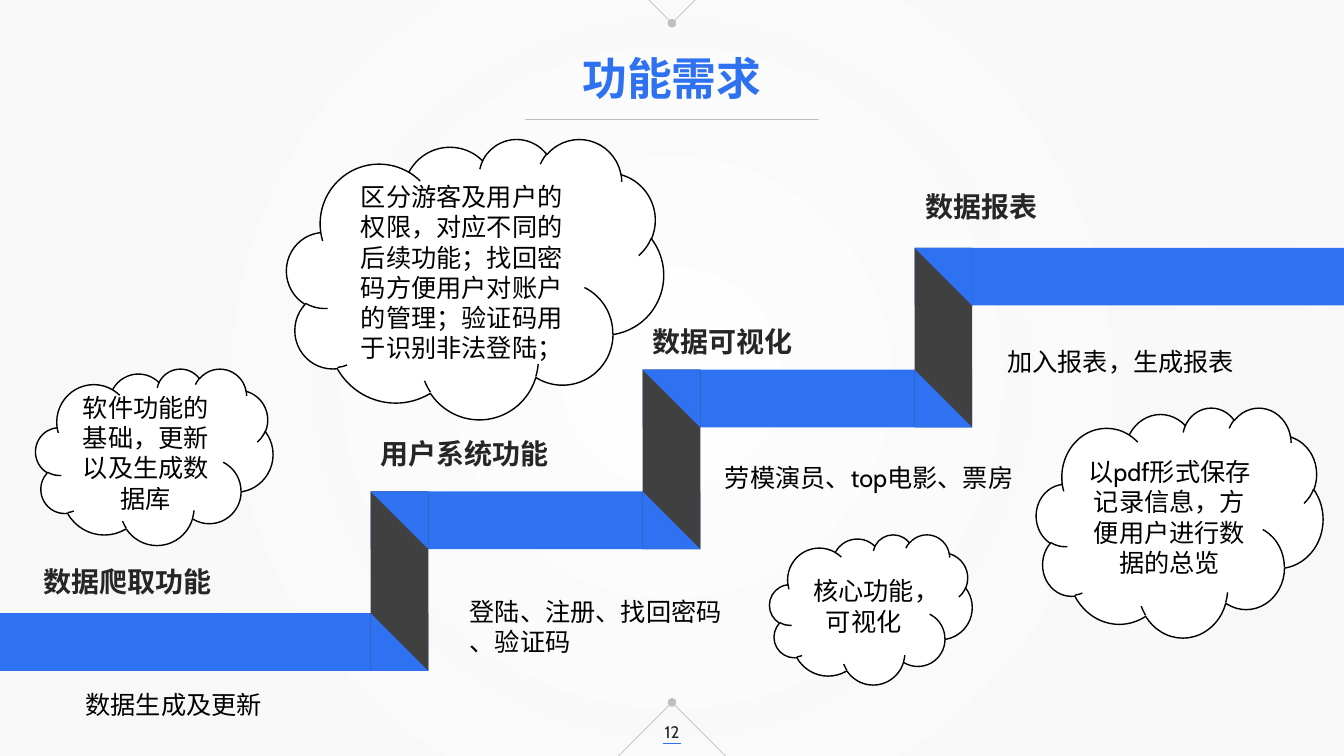
from lxml.etree import SubElement
from pptx import Presentation
from pptx.dml.color import RGBColor
from pptx.enum.shapes import MSO_CONNECTOR, MSO_SHAPE
from pptx.enum.text import MSO_ANCHOR, MSO_AUTO_SIZE, PP_ALIGN
from pptx.oxml import parse_xml
from pptx.oxml.ns import nsdecls, qn
from pptx.util import Pt

PX = 9525  # EMU in one px, 96 px to the inch
WIDTH, HEIGHT = 1280, 720
FONT = "Cabin"
COLORS = {
    "blue": "2E72F1",
    "dark": "404040",
    "heading": "262626",
    "text": "000000",
    "white": "FFFFFF",
    "rule": "BFBFBF",
    "haze": "F2F2F2",
}

# Staircase: first riser's corner, distance between steps, and band depth
STAIR_LEFT, STAIR_TOP = 353, 584
RUN, RISE, DEPTH = 259, 116, 55
RISERS = 3

HEADINGS = [
    ("数据爬取功能", 32, 533, 290),
    ("用户系统功能", 353, 411, 230),
    ("数据可视化", 612, 304, 230),
    ("数据报表", 872, 176, 276),
]
DETAILS = [
    (["数据生成及更新"], 72, 652, 200),
    (["登陆、注册、找回密码", "、验证码"], 438, 563, 270),
    (["劳模演员、top电影、票房"], 681, 436, 298),
    (["加入报表，生成报表"], 950, 325, 250),
]
CLOUDS = [
    ("软件功能的基础，更新以及生成数据库", 34, 351, 226, 168),
    ("区分游客及用户的权限，对应不同的后续功能；"
     "找回密码方便用户对账户的管理；验证码用于识别非法登陆；", 273, 132, 359, 267),
    ("核心功能，可视化", 733, 509, 193, 143),
    ("以pdf形式保存记录信息，方便用户进行数据的总览", 987, 388, 273, 219),
]


def px(*lengths):
    return [length * PX for length in lengths]


def rgb(name):
    return RGBColor.from_string(COLORS[name])


def write(frame, lines, size, color, bold=False, align=PP_ALIGN.LEFT):
    frame.text = "\n".join(lines)
    for para in frame.paragraphs:
        para.alignment = align
        para.font.name = FONT
        para.font.size = Pt(size)
        para.font.bold = bold
        para.font.color.rgb = rgb(color)


def add_text(page, lines, left, top, width, height, size, color, **style):
    box = page.shapes.add_textbox(*px(left, top, width, height))
    box.text_frame.word_wrap = True
    write(box.text_frame, lines, size, color, **style)
    return box


def add_block(page, kind, left, top, width, height, color):
    block = page.shapes.add_shape(kind, *px(left, top, width, height))
    block.shadow.inherit = False
    block.fill.solid()
    block.fill.fore_color.rgb = rgb(color)
    block.line.fill.background()
    return block


def add_line(page, start, end, color, dot=False):
    line = page.shapes.add_connector(MSO_CONNECTOR.STRAIGHT, *px(*start, *end))
    line.line.color.rgb = rgb(color)
    line.line.width = Pt(0.5)
    if dot:
        SubElement(line.line._get_or_add_ln(), qn("a:tailEnd"), type="oval")
    SubElement(line._element.spPr, qn("a:effectLst"))


def add_backdrop(page):
    backdrop = add_block(page, MSO_SHAPE.RECTANGLE, 0, 0, WIDTH, HEIGHT, "white")
    solid = backdrop._element.spPr.find(qn("a:solidFill"))
    gradient = parse_xml(
        f'<a:gradFill {nsdecls("a")} rotWithShape="1"><a:gsLst>'
        f'<a:gs pos="0"><a:srgbClr val="{COLORS["white"]}"/></a:gs>'
        f'<a:gs pos="100000"><a:srgbClr val="{COLORS["haze"]}">'
        '<a:alpha val="40000"/></a:srgbClr></a:gs></a:gsLst>'
        '<a:path path="circle"><a:fillToRect l="50000" t="50000" r="50000" b="50000"/>'
        '</a:path></a:gradFill>')
    solid.getparent().replace(solid, gradient)
    # Keep it behind the title
    page.shapes._spTree.insert(2, backdrop._element)


def add_chevron(page, apex, edge, reach):
    middle = WIDTH // 2
    for side in (-reach, reach):
        add_line(page, (middle + side, edge), (middle, apex), "rule", dot=True)


def set_title(page, text):
    title = page.shapes.title
    title.left, title.top, title.width, title.height = px(544, 43, 192, 61)
    frame = title.text_frame
    frame.auto_size = MSO_AUTO_SIZE.NONE
    frame.word_wrap = False
    frame.vertical_anchor = MSO_ANCHOR.TOP
    write(frame, [text], 32, "blue", bold=True, align=PP_ALIGN.CENTER)
    title.text_frame.paragraphs[0].line_spacing = 1.0


def add_stairs(page):
    # Treads: the first and last run to the slide's edges
    for step in range(RISERS + 1):
        left = 0 if step == 0 else STAIR_LEFT + (step - 1) * RUN
        right = WIDTH if step == RISERS else STAIR_LEFT + step * RUN + DEPTH
        add_block(page, MSO_SHAPE.RECTANGLE, left, STAIR_TOP - step * RISE,
                  right - left, DEPTH, "blue")
    # Risers: triangles cut the dark bars to a slant at both ends
    for step in range(RISERS):
        left = STAIR_LEFT + step * RUN
        lower = STAIR_TOP - step * RISE
        upper = lower - RISE
        add_block(page, MSO_SHAPE.RECTANGLE, left, upper, DEPTH, RISE + DEPTH, "dark")
        for top, turn in ((lower, 0), (upper, 180)):
            corner = add_block(page, MSO_SHAPE.RIGHT_TRIANGLE, left, top, DEPTH, DEPTH, "blue")
            corner.rotation = turn


def add_cloud(page, text, left, top, width, height):
    cloud = add_block(page, MSO_SHAPE.CLOUD, left, top, width, height, "white")
    cloud.line.color.rgb = rgb("text")
    cloud.line.width = Pt(1)
    cloud.text_frame.word_wrap = True
    cloud.text_frame.vertical_anchor = MSO_ANCHOR.MIDDLE
    write(cloud.text_frame, [text], 18, "text", align=PP_ALIGN.CENTER)


def main():
    deck = Presentation()
    deck.slide_width, deck.slide_height = px(WIDTH, HEIGHT)
    page = deck.slides.add_slide(deck.slide_layouts[5])

    # Backdrop, title and page number
    add_backdrop(page)
    set_title(page, "功能需求")
    add_line(page, (500, 114), (780, 114), "rule")
    add_chevron(page, apex=669, edge=HEIGHT, reach=51)
    add_chevron(page, apex=22, edge=0, reach=22)
    add_line(page, (631, 708), (649, 708), "blue")
    number = add_text(page, ["12"], 607, 678, 66, 38, 12, "heading", align=PP_ALIGN.CENTER)
    number.text_frame.vertical_anchor = MSO_ANCHOR.MIDDLE

    # Staircase with its headings and details
    add_stairs(page)
    for text, left, top, width in HEADINGS:
        add_text(page, [text], left, top, width, 42, 20, "heading", bold=True)
    for lines, left, top, width in DETAILS:
        add_text(page, lines, left, top, width, 38 + 30 * (len(lines) - 1), 18, "text")

    # Remarks
    for cloud in CLOUDS:
        add_cloud(page, *cloud)

    deck.save("out.pptx")


if __name__ == "__main__":
    main()
